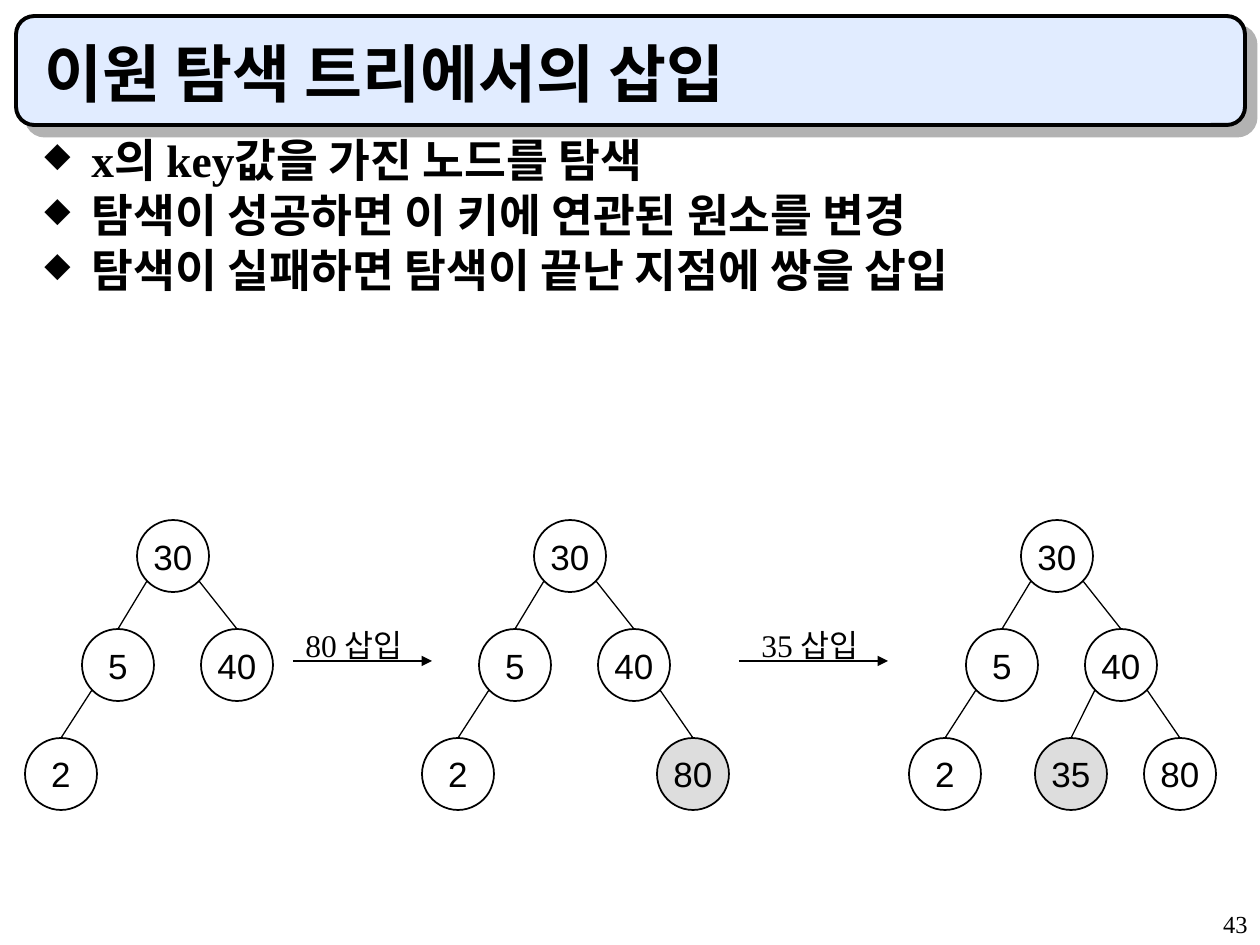
from lxml import etree
from pptx import Presentation
from pptx.dml.color import RGBColor
from pptx.enum.shapes import MSO_CONNECTOR, MSO_SHAPE
from pptx.enum.text import MSO_ANCHOR, PP_ALIGN
from pptx.oxml import parse_xml
from pptx.oxml.ns import nsdecls, qn
from pptx.util import Pt

ELLIPSE, ROUNDED = MSO_SHAPE.OVAL, MSO_SHAPE.ROUNDED_RECTANGLE
STRAIGHT = MSO_CONNECTOR.STRAIGHT
TOP, MIDDLE, BOTTOM = MSO_ANCHOR.TOP, MSO_ANCHOR.MIDDLE, MSO_ANCHOR.BOTTOM
LEFT, CENTER, RIGHT = PP_ALIGN.LEFT, PP_ALIGN.CENTER, PP_ALIGN.RIGHT

EMU_PER_PX = 914400 / 126
KOREAN, SERIF, SANS = "Noto Sans CJK KR", "Times New Roman", "Arial"
BLACK, PALE_BLUE, GREY, SHADOW = "000000", "E1ECFF", "DDDDDD", "B2B2B2"

NODE = 72
TREE_TOP, LEVEL_GAP = 520, 109
# Position: (offset from the root, level, parent position)
POSITIONS = {
    "root": (0, 0, None),
    "left": (-55, 1, "root"),
    "right": (64, 1, "root"),
    "left-left": (-112, 2, "left"),
    "right-left": (14, 2, "right"),
    "right-right": (123, 2, "right"),
}


def px(length):
    return round(length * EMU_PER_PX)


def color(value):
    return RGBColor.from_string(value)


def write(paragraph, text, size=20, font=SERIF, bold=False, align=LEFT):
    paragraph.alignment = align
    run = paragraph.add_run()
    run.text = text
    run.font.size = Pt(size)
    run.font.name = font
    run.font.bold = bold
    run.font.color.rgb = color(BLACK)
    east_asian = etree.SubElement(run.font._element, qn("a:ea"))
    east_asian.set("typeface", KOREAN)


class TreeSlide:
    def __init__(self, slide):
        self.slide = slide

    def shape(self, kind, box, fill=None, line_width=1):
        shape = self.slide.shapes.add_shape(kind, *map(px, box))
        shape.shadow.inherit = False
        if fill:
            shape.fill.solid()
            shape.fill.fore_color.rgb = color(fill)
        else:
            shape.fill.background()
        shape.line.color.rgb = color(BLACK)
        shape.line.width = Pt(line_width)
        return shape

    def banner(self, box):
        shape = self.shape(ROUNDED, box, PALE_BLUE, 2.25)
        effects = shape._element.spPr.find(qn("a:effectLst"))
        effects.append(parse_xml(
            f'<a:outerShdw {nsdecls("a")} dist="{Pt(8.5)}" dir="2700000" '
            f'algn="ctr" rotWithShape="0"><a:srgbClr val="{SHADOW}"/></a:outerShdw>'))

    def text(self, box, text, anchor=TOP, wrap=True, **text_format):
        frame = self.slide.shapes.add_textbox(*map(px, box)).text_frame
        frame.word_wrap = wrap
        frame.vertical_anchor = anchor
        write(frame.paragraphs[0], text, **text_format)

    def bullets(self, box, items):
        frame = self.slide.shapes.add_textbox(*map(px, box)).text_frame
        frame.word_wrap = True
        for index, item in enumerate(items):
            paragraph = frame.add_paragraph() if index else frame.paragraphs[0]
            paragraph.line_spacing = 0.8
            paragraph.space_before = Pt(6.5 if index else 0)
            properties = paragraph._p.get_or_add_pPr()
            properties.set("marL", str(px(47)))
            properties.set("indent", str(px(-47)))
            bullet_color = etree.SubElement(properties, qn("a:buClr"))
            etree.SubElement(bullet_color, qn("a:srgbClr")).set("val", BLACK)
            etree.SubElement(properties, qn("a:buSzPct")).set("val", "75000")
            etree.SubElement(properties, qn("a:buChar")).set("char", "◆")
            write(paragraph, item, size=26, bold=True)

    def line(self, start, end, arrow=False):
        connector = self.slide.shapes.add_connector(
            STRAIGHT, *map(px, (*start, *end)))
        connector.line.color.rgb = color(BLACK)
        connector.line.width = Pt(0.75)
        if arrow:
            outline = connector.line._get_or_add_ln()
            etree.SubElement(outline, qn("a:tailEnd")).set("type", "triangle")
        etree.SubElement(connector._element.spPr, qn("a:effectLst"))

    def node(self, left, top, key, fill=None):
        shape = self.shape(ELLIPSE, (left, top, NODE, NODE), fill)
        frame = shape.text_frame
        frame.word_wrap = False
        frame.vertical_anchor = MIDDLE
        write(frame.paragraphs[0], key, font=SANS, align=CENTER)

    def tree(self, root_left, keys, inserted=None):
        """Draw the keys by position, with the inserted position shaded."""
        for position, key in keys.items():
            offset, level, parent = POSITIONS[position]
            left, top = root_left + offset, TREE_TOP + level * LEVEL_GAP
            self.node(left, top, key, GREY if position == inserted else None)
            if parent:
                parent_offset = POSITIONS[parent][0]
                side = 10 if offset < parent_offset else NODE - 10
                start = (root_left + parent_offset + side, top - LEVEL_GAP + 61)
                self.line(start, (left + NODE // 2, top))

    def insertion(self, start, end, label_left, label):
        self.line((start, 661), (end, 661), arrow=True)
        self.text((label_left, 620, 130, 50), label, wrap=False, size=18)


def main():
    presentation = Presentation()
    presentation.slide_width, presentation.slide_height = px(1260), px(945)
    slide = TreeSlide(presentation.slides.add_slide(presentation.slide_layouts[6]))

    slide.banner((16, 16, 1229, 109))
    slide.text((32, 32, 1187, 84), "이원 탐색 트리에서의 삽입",
               anchor=BOTTOM, size=36, font=KOREAN, bold=True)
    slide.bullets((32, 136, 1187, 207), [
        "x의 key값을 가진 노드를 탐색",
        "탐색이 성공하면 이 키에 연관된 원소를 변경",
        "탐색이 실패하면 탐색이 끝난 지점에 쌍을 삽입",
    ])

    first = {"root": "30", "left": "5", "right": "40", "left-left": "2"}
    second = first | {"right-right": "80"}
    third = second | {"right-left": "35"}
    slide.tree(137, first)
    slide.insertion(293, 432, 293, "80 삽입")
    slide.tree(534, second, inserted="right-right")
    slide.insertion(739, 888, 749, "35 삽입")
    slide.tree(1021, third, inserted="right-left")

    slide.text((998, 903, 262, 42), "43", size=14, align=RIGHT)
    presentation.save("out.pptx")


if __name__ == "__main__":
    main()
